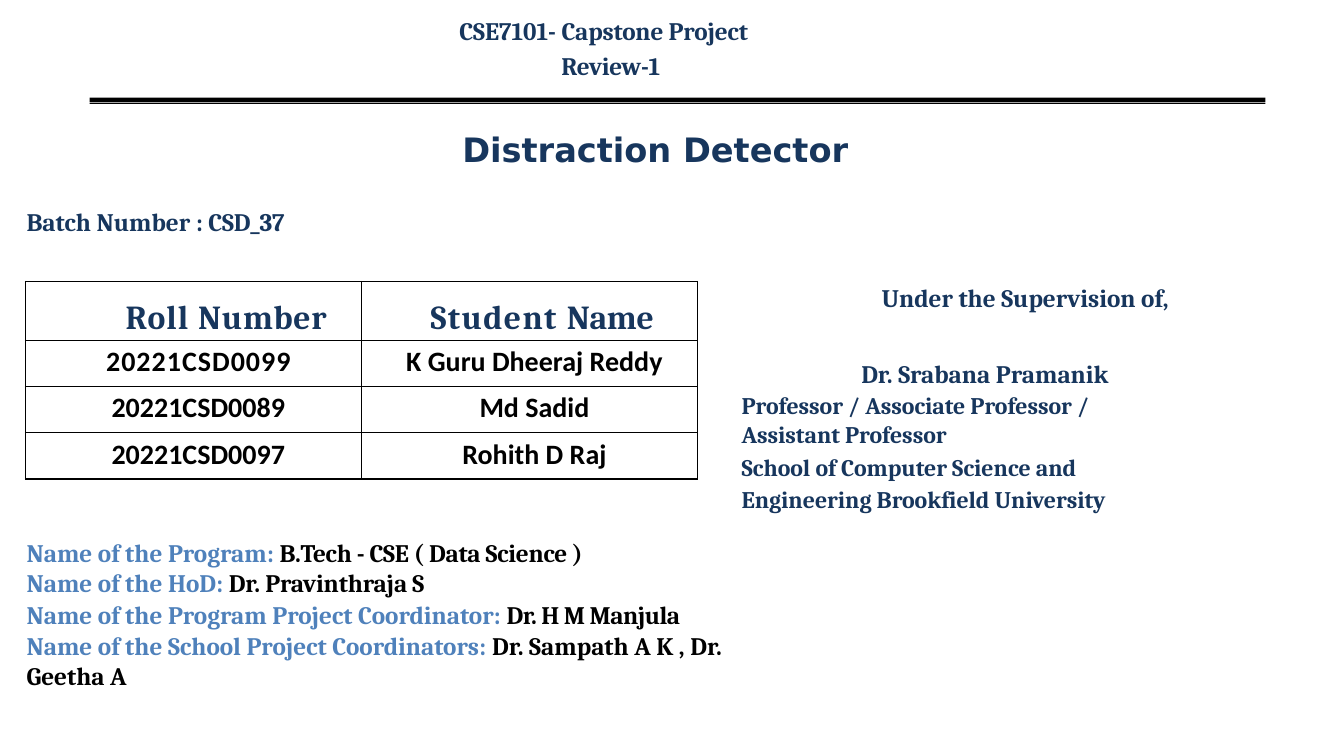
from dataclasses import dataclass

from lxml import etree
from pptx import Presentation
from pptx.dml.color import RGBColor
from pptx.enum.text import PP_ALIGN
from pptx.oxml.ns import qn
from pptx.util import Cm, Pt

LEFT, CENTER, RIGHT = PP_ALIGN.LEFT, PP_ALIGN.CENTER, PP_ALIGN.RIGHT


@dataclass(frozen=True)
class Theme:
    navy: RGBColor = RGBColor(0x17, 0x36, 0x5D)
    blue: RGBColor = RGBColor(0x4F, 0x81, 0xBB)
    black: RGBColor = RGBColor(0, 0, 0)
    serif: str = "Cambria"
    sans: str = "Calibri"
    display: str = "DejaVu Sans"
    title: int = 24
    cell: int = 20
    body: int = 18
    detail: int = 17


THEME = Theme()

STUDENTS = [
    ("20221CSD0099", "K Guru Dheeraj Reddy"),
    ("20221CSD0089", "Md Sadid"),
    ("20221CSD0097", "Rohith D Raj"),
]

PROGRAM = [
    ("Name of the Program: ", "B.Tech - CSE ( Data Science )", -0.2, 0),
    ("Name of the HoD: ", "Dr. Pravinthraja S", -0.1, 0),
    ("Name of the Program Project Coordinator: ", "Dr. H M Manjula", -0.4, 1.7),
    ("Name of the School Project Coordinators: ", "Dr. Sampath A K , Dr. Geetha A", 0, 0.2),
]


def add_text_frame(slide, box):
    tf = slide.shapes.add_textbox(*map(Cm, box)).text_frame
    tf.word_wrap = True
    tf.margin_left = tf.margin_right = tf.margin_bottom = 0
    tf.margin_top = Cm(0.03)
    return tf


def style_paragraph(p, size=THEME.body, name=THEME.serif, color=THEME.navy,
                    align=LEFT, before=0, line=1, indents=None):
    p.alignment = align
    p.space_before = Pt(before)
    p.line_spacing = line
    p.font.size = Pt(size)
    p.font.name = name
    p.font.bold = True
    if color is not None:
        p.font.color.rgb = color
    for key, length in (indents or {}).items():
        p._p.get_or_add_pPr().set(key, str(Cm(length)))


def add_run(p, text, spacing=0, color=None):
    r = p.add_run()
    r.text = text
    if color is not None:
        r.font.color.rgb = color
    if spacing:
        r._r.get_or_add_rPr().set("spc", str(round(spacing * 100)))


def next_paragraph(tf, index):
    return tf.add_paragraph() if index else tf.paragraphs[0]


def add_header(slide, box):
    p = add_text_frame(slide, box).paragraphs[0]
    style_paragraph(p, before=0.9, line=1.15, indents={"marL": 2.59, "indent": -2.57})
    for text, spacing in [("CSE7101- ", 0), ("Capstone Project ", -0.1), ("Review-1", -0.2)]:
        add_run(p, text, spacing)


def add_double_rule(slide, box):
    left, top, width, height = map(Cm, box)
    right, bottom = left + width, top + height
    thick, thin = Cm(0.11), Cm(0.03)
    bands = [(top, top + thick), (bottom - thin, bottom)]
    builder = slide.shapes.build_freeform(left, top)
    for index, (upper, lower) in enumerate(bands):
        if index:
            builder.move_to(left, upper)
        builder.add_line_segments([(right, upper), (right, lower), (left, lower)], close=True)
    s = builder.convert_to_shape()
    s.shadow.inherit = False
    s.fill.solid()
    s.fill.fore_color.rgb = THEME.black
    s.line.fill.background()


def add_title(slide, box):
    p = add_text_frame(slide, box).paragraphs[0]
    style_paragraph(p, THEME.title, THEME.display, align=CENTER, before=1.1)
    add_run(p, "Distraction Detector")


def add_batch(slide, box):
    p = add_text_frame(slide, box).paragraphs[0]
    style_paragraph(p, before=1, indents={"marL": 0.03, "indent": 0})
    add_run(p, "Batch Number : ")
    add_run(p, "CSD_37", -0.1)


def set_borders(cell):
    tcPr = cell._tc.get_or_add_tcPr()
    for index, side in enumerate(("lnL", "lnR", "lnT", "lnB")):
        ln = etree.Element(qn(f"a:{side}"), w=str(Pt(1)))
        fill = etree.SubElement(ln, qn("a:solidFill"))
        etree.SubElement(fill, qn("a:srgbClr"), val=str(THEME.black))
        tcPr.insert(index, ln)


def prepare_cell(cell, top):
    cell.fill.background()
    set_borders(cell)
    cell.margin_left = cell.margin_right = cell.margin_bottom = 0
    cell.margin_top = Cm(top)
    return cell.text_frame.paragraphs[0]


def add_students(slide, box):
    left, top, width, height = box
    header_height = 1.48
    row_height = (height - header_height) / len(STUDENTS)
    table = slide.shapes.add_table(len(STUDENTS) + 1, 2, *map(Cm, box)).table
    table.first_row = table.horz_banding = False
    for column in table.columns:
        column.width = Cm(width / 2)
    for index, row in enumerate(table.rows):
        row.height = Cm(row_height if index else header_height)
    headings = [
        (1.65, [("Roll ", 0.8), ("Number", 0.5)]),
        (0.64, [("Student ", 1), ("Name", -0.2)]),
    ]
    for column, (indent, runs) in enumerate(headings):
        p = prepare_cell(table.cell(0, column), 0.44)
        style_paragraph(p, THEME.title, align=CENTER, indents={"marL": indent, "indent": 0})
        for text, spacing in runs:
            add_run(p, text, spacing)
    for row, student in enumerate(STUDENTS, 1):
        for column, text in enumerate(student):
            p = prepare_cell(table.cell(row, column), 0.12)
            style_paragraph(p, THEME.cell, THEME.sans, THEME.black, CENTER,
                            indents={"marL": 0.25, "indent": 0})
            add_run(p, text, 0.7 if (row, column) == (1, 0) else 0)


def add_supervision(slide, box):
    tf = add_text_frame(slide, box)
    small = {"size": THEME.detail}
    lines = [
        ("Under the Supervision of,", 0, {"align": RIGHT, "before": 1}),
        ("Dr. Srabana Pramanik", 0, {"align": RIGHT, "before": 32.5, "indents": {"marR": 1.52}}),
        ("Professor / Associate Professor / Assistant Professor", -0.05, {**small, "before": 1.9}),
        ("School of Computer Science and Engineering Brookfield University", -0.06,
         {**small, "before": 0.1, "line": 1.14}),
    ]
    for index, (text, spacing, style) in enumerate(lines):
        p = next_paragraph(tf, index)
        style_paragraph(p, **style)
        add_run(p, text, spacing)


def add_program(slide, box):
    tf = add_text_frame(slide, box)
    for index, (label, value, spacing, before) in enumerate(PROGRAM):
        p = next_paragraph(tf, index)
        style_paragraph(p, color=None, before=before, indents={"marL": 0.03, "indent": 0})
        add_run(p, label, color=THEME.blue)
        add_run(p, value, spacing, THEME.black)


def main():
    prs = Presentation()
    prs.slide_width, prs.slide_height = Cm(33.87), Cm(19.05)
    slide = prs.slides.add_slide(prs.slide_layouts[6])
    add_double_rule(slide, (2.26, 2.46, 29.63, 0.16))
    add_title(slide, (2.57, 3.23, 27.89, 1.07))
    add_batch(slide, (0.64, 5.16, 7.11, 0.84))
    add_supervision(slide, (18.69, 7.09, 10.77, 5.9))
    add_program(slide, (0.64, 13.5, 17.8, 4))
    add_students(slide, (0.64, 7.09, 16.94, 4.98))
    add_header(slide, (11.56, 0.25, 7.87, 1.83))
    prs.save("out.pptx")


if __name__ == "__main__":
    main()
